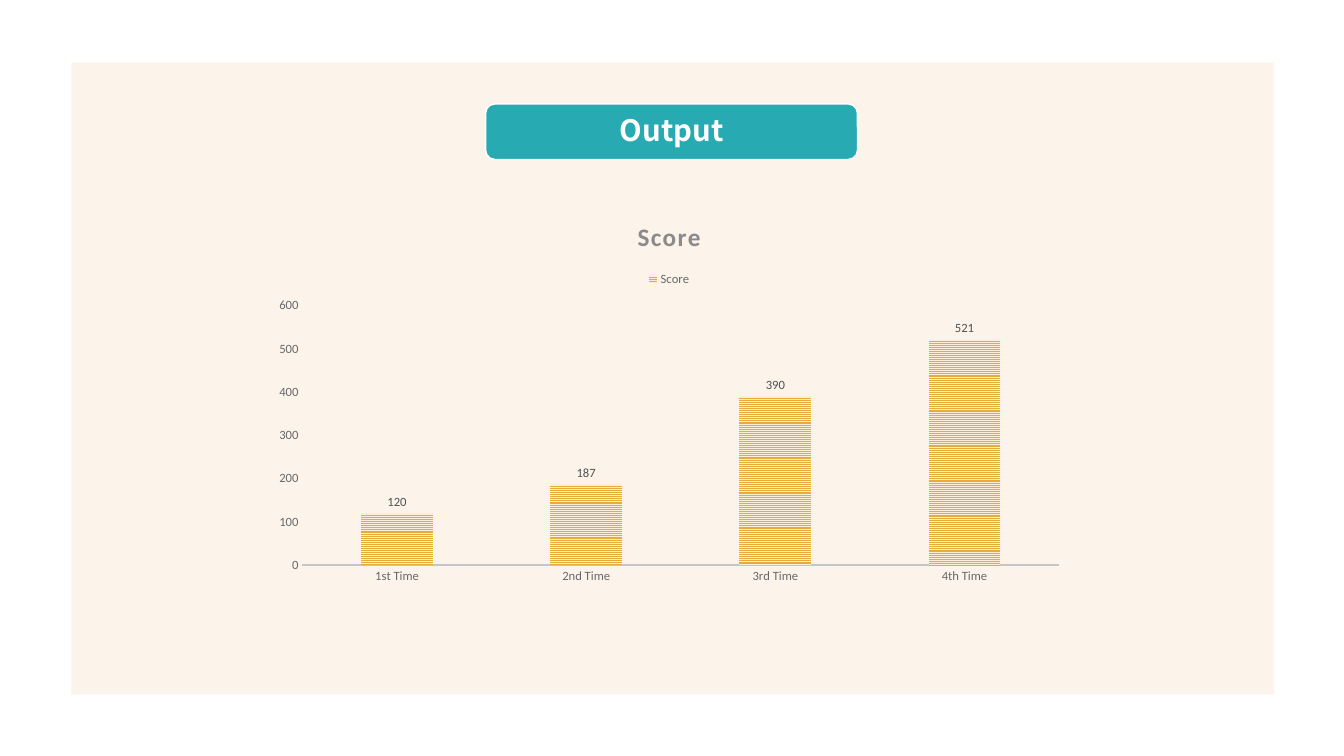
from pptx import Presentation
from pptx import util as u
from pptx.chart.data import CategoryChartData
from pptx.dml.color import RGBColor
from pptx.enum import chart as ch, dml, shapes, text


def rgb(value):
    return RGBColor.from_string(value)


def style_font(font, size, color, name="Calibri", bold=False):
    font.size = u.Pt(size)
    font.name = name
    font.bold = bold
    font.color.rgb = rgb(color)


def add_text(tf, content, spacing=None, **style):
    p = tf.paragraphs[0]
    p.alignment = text.PP_ALIGN.CENTER
    p.line_spacing = spacing
    r = p.add_run()
    r.text = content
    style_font(r.font, **style)
    return r


def add_box(s, kind, box, fill, line=None):
    sp = s.shapes.add_shape(kind, *map(u.Cm, box))
    sp.shadow.inherit = False
    sp.fill.solid()
    sp.fill.fore_color.rgb = rgb(fill)
    if line:
        sp.line.color.rgb = rgb(line)
        sp.line.width = u.Pt(1)
    else:
        sp.line.fill.background()


def add_heading(s, box, content):
    add_box(s, shapes.MSO_SHAPE.ROUNDED_RECTANGLE, box, "28AAB3", "FFFFFF")
    x, y, w, h = box
    inset = 0.06
    title = s.shapes.title
    title.left, title.top = u.Cm(x + inset), u.Cm(y + inset)
    title.width, title.height = u.Cm(w - 2 * inset), u.Cm(h - 2 * inset)
    title.element.getparent().append(title.element)
    tf = title.text_frame
    tf.word_wrap = True
    tf.auto_size = text.MSO_AUTO_SIZE.NONE
    tf.vertical_anchor = text.MSO_ANCHOR.MIDDLE
    tf.margin_left = tf.margin_right = tf.margin_top = tf.margin_bottom = u.Cm(0.23)
    add_text(tf, content, spacing=0.9, size=21, color="FFFFFF",
             name="Noto Sans CJK SC", bold=True)


def add_score_chart(s, box, scores):
    data = CategoryChartData()
    data.categories = list(scores)
    data.add_series("Score", list(scores.values()))
    kind = ch.XL_CHART_TYPE.COLUMN_CLUSTERED
    chart = s.shapes.add_chart(kind, *map(u.Cm, box), data).chart
    style_font(chart.font, 10, "161616")

    chart.has_title = True
    r = add_text(chart.chart_title.text_frame, "Score", size=18, color="8A8A8A", bold=True)
    r.font._element.set("spc", "100")
    chart.chart_title.include_in_layout = False

    chart.has_legend = True
    chart.legend.position = ch.XL_LEGEND_POSITION.TOP
    chart.legend.include_in_layout = False
    style_font(chart.legend.font, 9, "686868")

    for axis in (chart.category_axis, chart.value_axis):
        axis.has_major_gridlines = False
        axis.major_tick_mark = axis.minor_tick_mark = ch.XL_TICK_MARK.NONE
        style_font(axis.tick_labels.font, 9, "686868")
    chart.category_axis.format.line.color.rgb = rgb("C5C5C5")
    chart.category_axis.format.line.width = u.Pt(1.5)
    chart.value_axis.format.line.fill.background()

    plot = chart.plots[0]
    plot.vary_by_categories = False
    plot.gap_width = 164
    plot.overlap = -22
    series = plot.series[0]
    series.invert_if_negative = False
    fill = series.format.fill
    fill.patterned()
    fill.pattern = dml.MSO_PATTERN.NARROW_HORIZONTAL
    fill.fore_color.rgb = rgb("E7AB39")
    fill.back_color.rgb = rgb("FAEED7")
    series.format.line.fill.background()
    labels = series.data_labels
    labels.show_value = True
    labels.position = ch.XL_LABEL_POSITION.OUTSIDE_END
    style_font(labels.font, 9, "505050")


def add_output_slide(prs):
    s = prs.slides.add_slide(prs.slide_layouts[5])
    s.background.fill.solid()
    s.background.fill.fore_color.rgb = rgb("FFFFFF")
    add_box(s, shapes.MSO_SHAPE.RECTANGLE, (1.8, 1.58, 30.3, 15.92), "FCF4EB")
    add_heading(s, (12.24, 2.62, 9.37, 1.4), "Output")
    scores = {"1st Time": 120, "2nd Time": 187, "3rd Time": 390, "4th Time": 521}
    add_score_chart(s, (6.63, 5.08, 20.47, 9.83), scores)


def main():
    prs = Presentation()
    prs.slide_width, prs.slide_height = u.Cm(33.87), u.Cm(19.05)
    add_output_slide(prs)
    prs.save("out.pptx")


if __name__ == "__main__":
    main()
